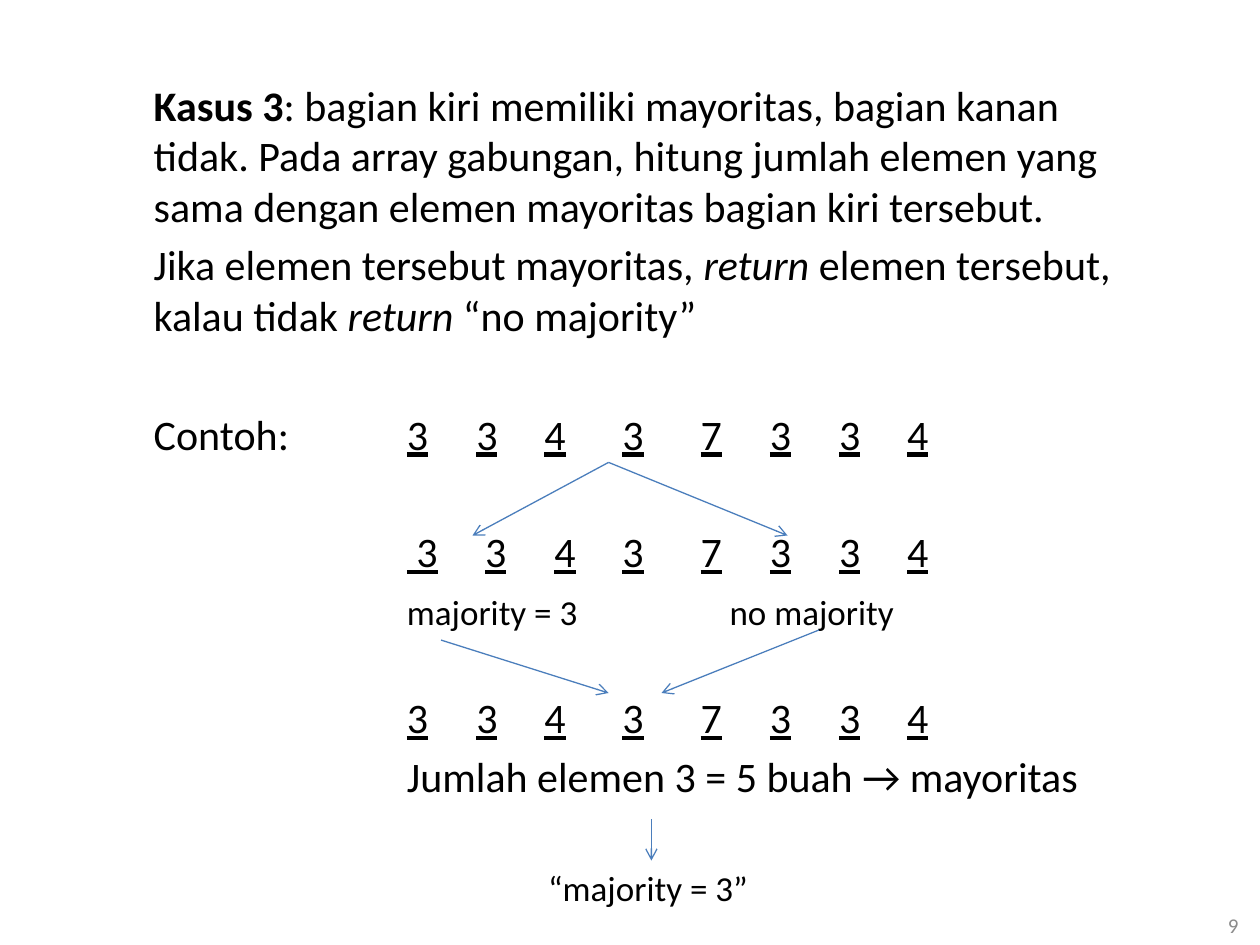
from lxml import etree
from pptx import Presentation
from pptx import util as u
from pptx.dml.color import RGBColor
from pptx.enum import shapes, text
from pptx.oxml import ns

FONT = "Calibri"
BLACK, GREY, BLUE = "000000", "8C8C8C", "4B7EBC"
LEFT, DIAGRAM_LEFT = 1.22, 3.23
DIGIT_STOPS = [0.55, 1.09, 1.71, 2.33, 2.88, 3.43, 3.97]
HALF_STOPS = [0.62, 1.17] + DIGIT_STOPS[2:]
WHOLE_ARRAY = [("3\t3\t4\t3\t7\t3\t3\t4", "u")]
HALVES = [(" 3\t3\t4\t3", "u"), ("\t", ""), ("7\t3\t3\t4", "u")]


def color(value):
    return RGBColor.from_string(value)


def add_stops(para, stops):
    if stops:
        tabs = etree.SubElement(para._p.get_or_add_pPr(), ns.qn("a:tabLst"))
        for stop in stops:
            etree.SubElement(tabs, ns.qn("a:tab"), pos=str(u.Inches(stop)), algn="l")


def add_text(slide, left, top, width, height, paragraphs, size=24, stops=(),
             fill=BLACK, align=text.PP_ALIGN.LEFT):
    """Each paragraph is a list of (words, style); style holds any of b, i, u."""
    box = slide.shapes.add_textbox(*map(u.Inches, (left, top, width, height)))
    frame = box.text_frame
    frame.word_wrap = True
    frame.margin_left = frame.margin_right = frame.margin_top = frame.margin_bottom = 0
    for index, runs in enumerate(paragraphs):
        para = frame.add_paragraph() if index else frame.paragraphs[0]
        para.alignment = align
        para.space_before = u.Pt(4.8 if index else 0)
        add_stops(para, stops)
        for words, style in runs:
            span = para.add_run()
            span.text = words
            span.font.name = FONT
            span.font.size = u.Pt(size)
            span.font.color.rgb = color(fill)
            span.font.bold = "b" in style
            span.font.italic = "i" in style
            span.font.underline = "u" in style


def add_arrow(slide, start, end):
    points = map(u.Inches, (*start, *end))
    arrow = slide.shapes.add_connector(shapes.MSO_CONNECTOR.STRAIGHT, *points)
    arrow.line.color.rgb = color(BLUE)
    arrow.line.width = u.Pt(0.75)
    etree.SubElement(arrow.line._get_or_add_ln(), ns.qn("a:tailEnd"), type="arrow")
    etree.SubElement(arrow._element.spPr, ns.qn("a:effectLst"))


def add_explanation(slide, left, top, width, height):
    add_text(slide, left, top, width, height, [
        [("Kasus 3", "b"),
         (": bagian kiri memiliki mayoritas, bagian kanan tidak. Pada array gabungan, "
          "hitung jumlah elemen yang sama dengan elemen mayoritas bagian kiri tersebut.", "")],
        [("Jika elemen tersebut mayoritas, ", ""), ("return", "i"),
         (" elemen tersebut, kalau tidak ", ""), ("return", "i"),
         (" “no majority”", "")],
    ])


def add_example(slide, left, top, width):
    """Split, solve and merge the array, from the top of the box downwards."""
    for offset, runs, stops in ((0, WHOLE_ARRAY, DIGIT_STOPS),
                                (0.93, HALVES, HALF_STOPS),
                                (2.25, WHOLE_ARRAY, DIGIT_STOPS)):
        add_text(slide, left, top + offset, width, 0.41, [runs], stops=stops)
    add_text(slide, left, top + 2.72, width, 0.41,
             [[("Jumlah elemen 3 = 5 buah → mayoritas", "")]])
    for x, y, words in ((0, 1.45, "majority = 3"),
                        (2.56, 1.45, "no majority"),
                        (1.12, 3.64, "“majority = 3”")):
        add_text(slide, left + x, top + y, 1.8, 0.34, [[(words, "")]], size=20)

    split, merge, result = (1.6, 0.43), 2.26, 1.94
    for start, end in ((split, (0.52, 1.01)),
                       (split, (3.02, 1.01)),
                       ((0.27, 1.84), (1.6, merge)),
                       ((3.27, 1.76), (2.02, merge)),
                       ((result, 3.26), (result, 3.59))):
        add_arrow(slide, (left + start[0], top + start[1]), (left + end[0], top + end[1]))


def main():
    deck = Presentation()
    deck.slide_width, deck.slide_height = u.Inches(10), u.Inches(7.5)
    slide = deck.slides.add_slide(deck.slide_layouts[6])
    add_explanation(slide, LEFT, 0.63, 7.93, 2.1)
    add_text(slide, LEFT, 3.24, 1.5, 0.41, [[("Contoh:", "")]])
    add_example(slide, DIAGRAM_LEFT, 3.24, 5.92)
    add_text(slide, 7.66, 7.24, 2.17, 0.2, [[("9", "")]], size=12, fill=GREY,
             align=text.PP_ALIGN.RIGHT)
    deck.save("out.pptx")


if __name__ == "__main__":
    main()
